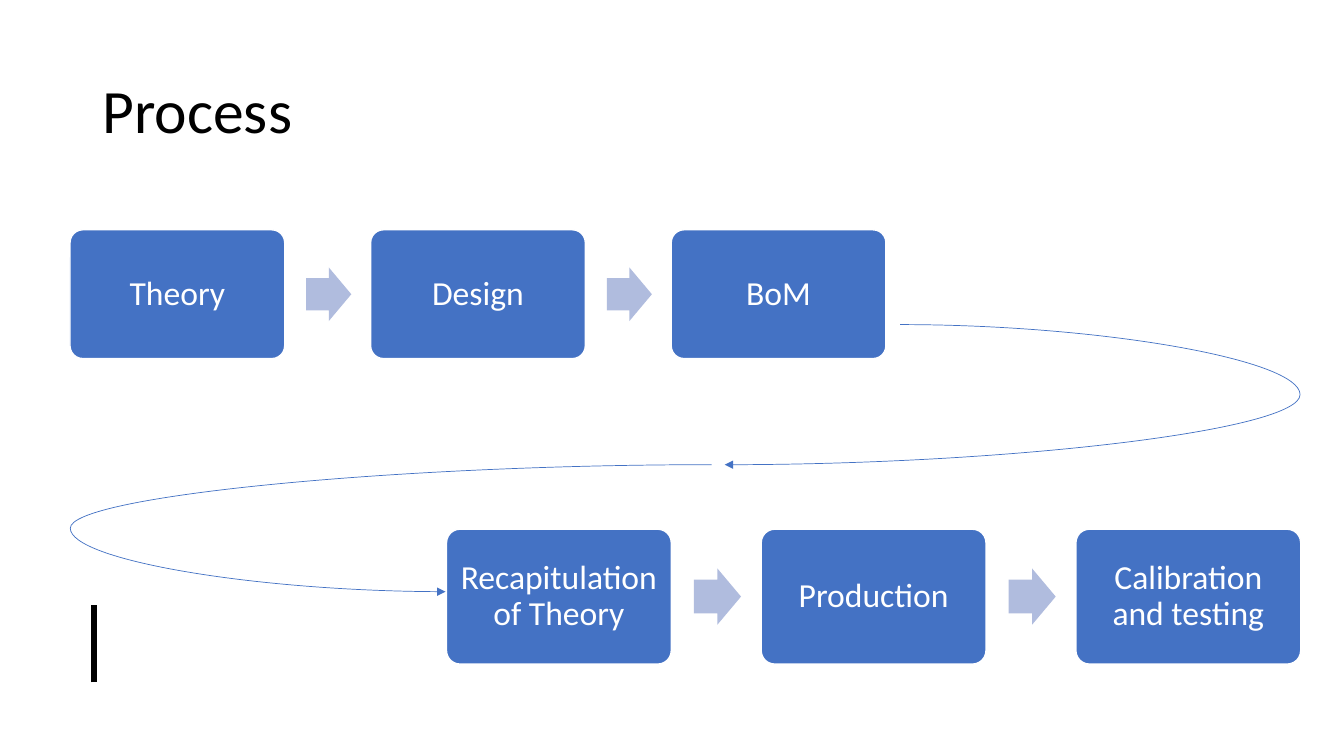
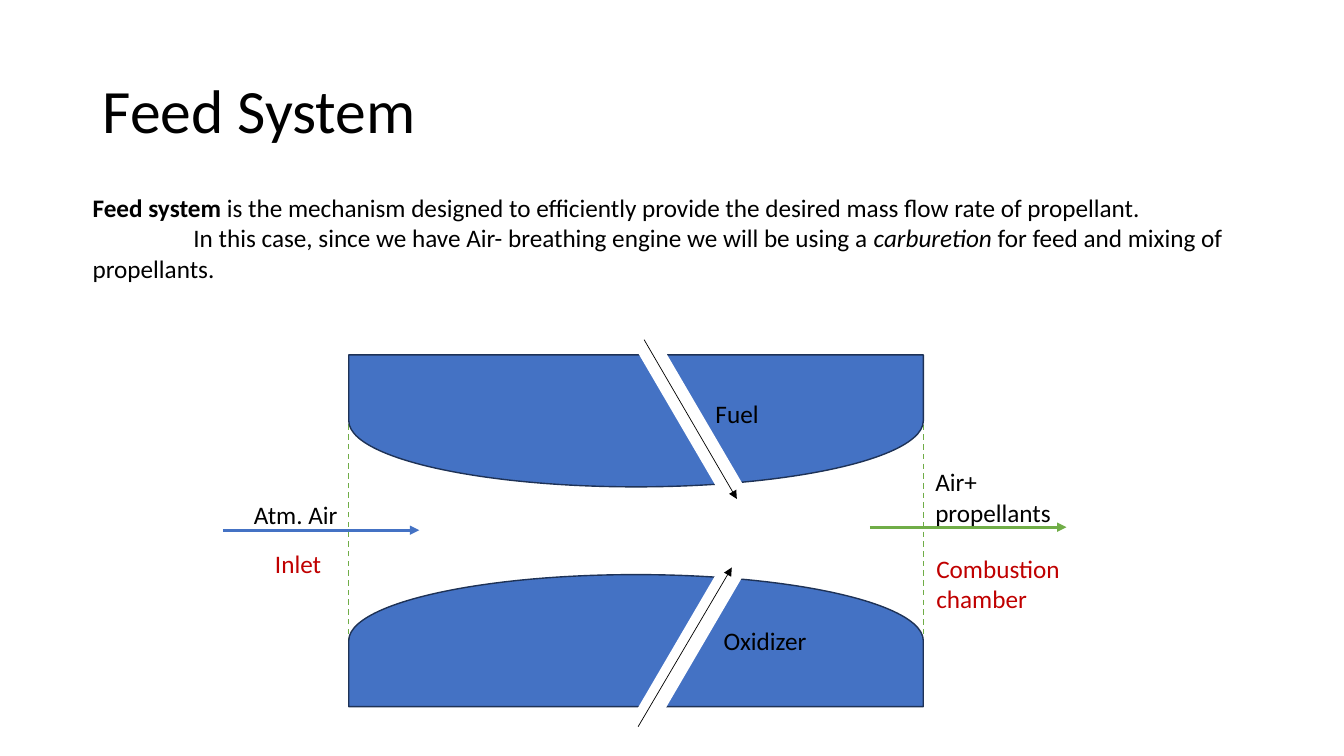
from lxml import etree
from pptx import Presentation
from pptx.dml.color import RGBColor
from pptx.enum.dml import MSO_LINE
from pptx.enum.shapes import MSO_CONNECTOR, MSO_SHAPE
from pptx.enum.text import MSO_ANCHOR, PP_ALIGN
from pptx.oxml.ns import qn
from pptx.util import Inches, Pt

# The grid: square cells, ten to the inch
CELL = Inches(0.1)
COLS, ROWS = 133.33, 75

FONT = "Calibri"
BLACK = RGBColor(0x00, 0x00, 0x00)
WHITE = RGBColor(0xFF, 0xFF, 0xFF)
BLUE = RGBColor(0x44, 0x72, 0xC4)
NAVY = RGBColor(0x1E, 0x32, 0x56)
PALE = RGBColor(0xB0, 0xBC, 0xDE)
GREEN = RGBColor(0x70, 0xAD, 0x47)
RED = RGBColor(0xC0, 0x00, 0x00)

BOX = MSO_SHAPE.RECTANGLE
ROUND = MSO_SHAPE.ROUNDED_RECTANGLE
ARROW = MSO_SHAPE.RIGHT_ARROW
DELAY = MSO_SHAPE.FLOWCHART_DELAY
LINE, CURVE = MSO_CONNECTOR.STRAIGHT, MSO_CONNECTOR.CURVE
DASH = MSO_LINE.DASH
MIDDLE = MSO_ANCHOR.MIDDLE
CENTER = PP_ALIGN.CENTER


def grid(*cells):
    return [round(n * CELL) for n in cells]


def add_run(para, text, size, color=BLACK, bold=False, italic=False):
    run = para.add_run()
    run.text = text
    font = run.font
    font.name, font.size = FONT, Pt(size)
    font.bold, font.italic = bold, italic
    font.color.rgb = color


def add_shape(slide, kind, at, fill, edge=None, turn=0):
    shape = slide.shapes.add_shape(kind, *grid(*at))
    shape.shadow.inherit = False
    shape.rotation = turn
    shape.fill.solid()
    shape.fill.fore_color.rgb = fill
    if edge is None:
        shape.line.fill.background()
    else:
        shape.line.color.rgb = edge
        shape.line.width = Pt(1)
    return shape


def add_line(slide, start, end, color, width, head=True, bend=None):
    """Draw a line; bend is the place of a curve's turn, as a share of its width."""
    kind = LINE if bend is None else CURVE
    line = slide.shapes.add_connector(kind, *grid(*start, *end))
    line.line.color.rgb = color
    line.line.width = Pt(width)
    props = line._element.spPr
    if head:
        etree.SubElement(props.find(qn("a:ln")), qn("a:tailEnd"), type="triangle")
    if bend is not None:
        guides = props.find(qn("a:prstGeom")).find(qn("a:avLst"))
        etree.SubElement(guides, qn("a:gd"), name="adj1",
                         fmla=f"val {round(bend * 100000)}")
        frame = props.find(qn("a:xfrm"))
        frame.attrib.pop("flipH", None)
        frame.set("rot", "10800000")
        frame.set("flipV", "1")
    etree.SubElement(props, qn("a:effectLst"))


def add_text(slide, at, wrap=True):
    frame = slide.shapes.add_textbox(*grid(*at)).text_frame
    frame.word_wrap = wrap
    return frame


def add_label(slide, text, at, color=BLACK, wrap=False):
    add_run(add_text(slide, at, wrap).paragraphs[0], text, 18, color)


def add_slide(deck, title):
    slide = deck.slides.add_slide(deck.slide_layouts[6])
    frame = add_text(slide, (9.2, 4, 115, 14.5))
    frame.vertical_anchor = MIDDLE
    para = frame.paragraphs[0]
    para.line_spacing = 0.9
    add_run(para, title, 44)
    return slide


def add_flow(slide, left, top, wide, steps):
    """Set steps in a row with arrows between, all sized from the step width."""
    high, pitch = 0.6 * wide, 1.4 * wide
    tip_wide, tip_high = 0.21 * wide, 0.25 * wide
    for i, step in enumerate(steps):
        x = left + i * pitch
        if i:
            add_shape(slide, ARROW, (x - 0.3 * wide, top + (high - tip_high) / 2,
                                     tip_wide, tip_high), PALE).adjustments[0] = 0.6
        card = add_shape(slide, ROUND, (x, top, wide, high), BLUE, WHITE)
        card.adjustments[0] = 0.1
        frame = card.text_frame
        frame.word_wrap = True
        frame.vertical_anchor = MIDDLE
        (frame.margin_left, frame.margin_top,
         frame.margin_right, frame.margin_bottom) = grid(1, 1, 1, 1)
        para = frame.paragraphs[0]
        para.alignment, para.line_spacing = CENTER, 0.9
        add_run(para, step, 24, WHITE)


def add_process(deck):
    slide = add_slide(deck, "Process")
    add_flow(slide, 6.95, 22.8, 21.3, ["Theory", "Design", "BoM"])
    add_flow(slide, 44.3, 52.5, 22.3,
             ["Recapitulation of Theory", "Production", "Calibration and testing"])
    add_line(slide, (89.3, 32.2), (71.9, 46.1), BLUE, 0.5, bend=-2.28)
    add_line(slide, (70.6, 46.1), (44.2, 58.7), BLUE, 0.5, bend=2.41)
    add_line(slide, (9.3, 67.7), (9.3, 60), BLACK, 4.5, head=False)


def add_intro(slide):
    frame = add_text(slide, (8.2, 18.6, 119.5, 16.2))
    first = frame.paragraphs[0]
    add_run(first, "Feed system ", 18, bold=True)
    add_run(first, "is the mechanism designed to efficiently provide "
            "the desired mass flow rate of propellant.", 18)
    second = frame.add_paragraph()
    second._p.get_or_add_pPr().set("indent", str(10 * CELL))
    add_run(second, "In this case, since we have Air- breathing engine "
            "we will be using a ", 18)
    add_run(second, "carburetion", 18, italic=True)
    add_run(second, " for feed and mixing of propellants.", 18)


def add_feed(deck):
    slide = add_slide(deck, "Feed System")
    add_intro(slide)

    left, top, wide, high = 34.6, 35.2, 57, 34.9
    duct = add_shape(slide, BOX, (left, top, wide, high), WHITE, GREEN)
    duct.line.dash_style = DASH

    # Walls are quarter-turned, so their frames are set about their centres
    deep = 13.1
    mid = left + wide / 2
    for y, turn in ((top + deep / 2, 90), (top + high - deep / 2, 270)):
        add_shape(slide, DELAY, (mid - deep / 2, y - wide / 2, deep, wide),
                  BLUE, NAVY, turn)
    for y, turn in ((26.8, -30.3), (55.1, 30.3)):
        add_shape(slide, BOX, (65.5, y, 2.4, 23.3), WHITE, turn=turn)

    for start, end, color, width in (
            ((22.1, 52.6), (41.6, 52.6), BLUE, 2.25),
            ((63.9, 33.7), (73.1, 49.5), BLACK, 0.5),
            ((63.3, 72.1), (72.6, 56.3), BLACK, 0.5),
            ((86.3, 52.3), (105.8, 52.3), GREEN, 2.25)):
        add_line(slide, start, end, color, width)

    add_label(slide, "Atm. Air", (24.2, 49, 10.4, 4))
    add_label(slide, "Air+ propellants", (91.8, 45.8, 13.8, 7.1), wrap=True)
    add_label(slide, "Fuel", (70, 39, 6.3, 4))
    add_label(slide, "Oxidizer", (70.8, 61.5, 10.4, 4))
    add_label(slide, "Inlet", (26.3, 53.9, 6.7, 4), RED)
    add_label(slide, "Combustion chamber", (91.9, 54.4, 15.1, 7.1), RED, True)


def main():
    deck = Presentation()
    deck.slide_width, deck.slide_height = grid(COLS, ROWS)
    add_process(deck)
    add_feed(deck)
    deck.save("out.pptx")


if __name__ == "__main__":
    main()
